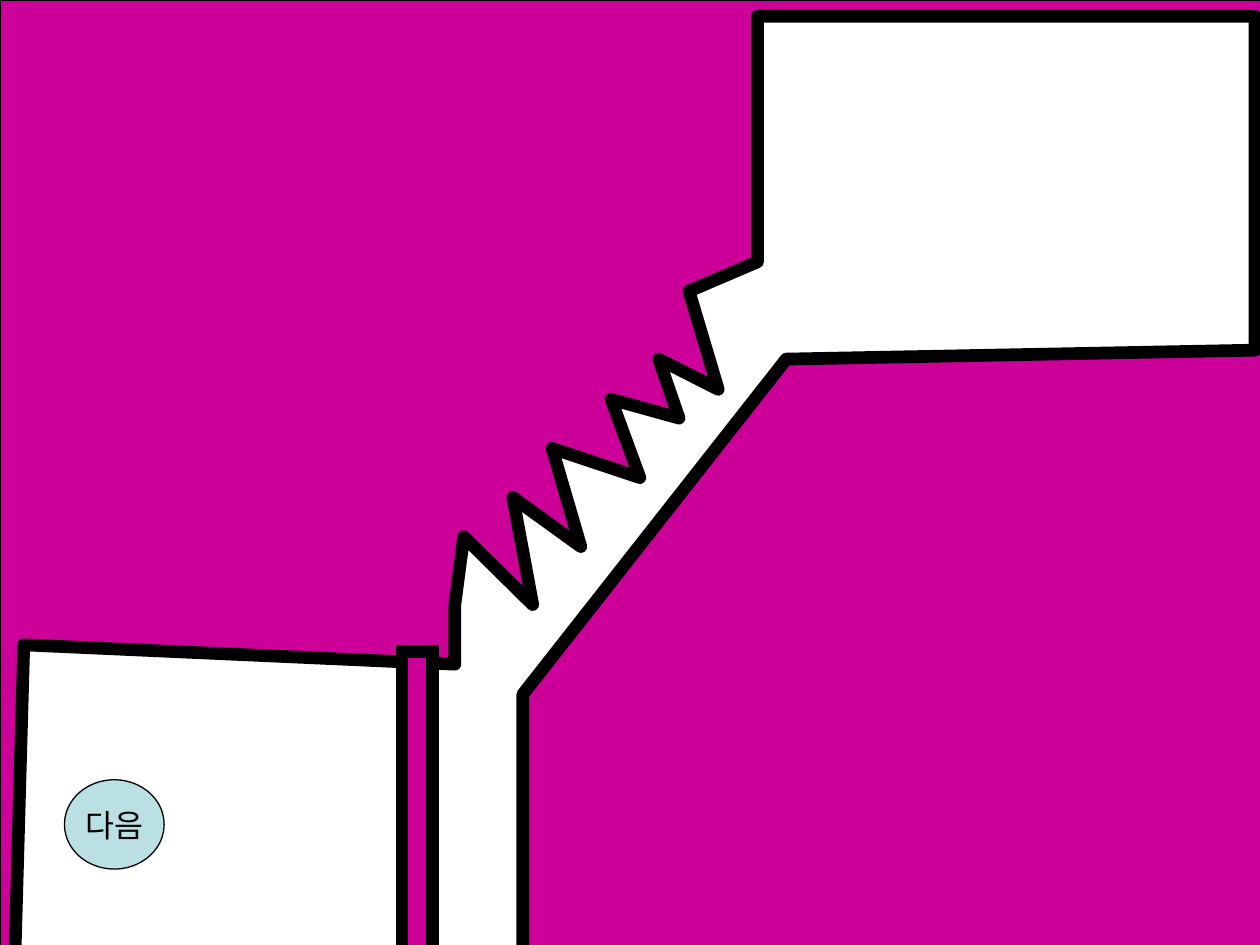
import dataclasses
import typing

import lxml.etree
import pptx
import pptx.dml.color
import pptx.enum.shapes
import pptx.enum.text
import pptx.oxml.ns
import pptx.util

Cm = pptx.util.Cm
Pt = pptx.util.Pt
RGB = pptx.dml.color.RGBColor
Kind = pptx.enum.shapes.MSO_SHAPE


@dataclasses.dataclass(frozen=True)
class Theme:
    wall: RGB = RGB(0xCC, 0x00, 0x99)
    path_fill: RGB = RGB(0xFF, 0xFF, 0xFF)
    button: RGB = RGB(0xBB, 0xE0, 0xE3)
    ink: RGB = RGB(0x00, 0x00, 0x00)
    thin: float = 0.75
    thick: float = 7.25
    text_size: int = 18
    font: str = "Noto Sans CJK KR"


@dataclasses.dataclass(frozen=True)
class Block:
    kind: Kind
    left: float
    top: float
    width: float
    height: float
    fill: RGB
    line: float
    rotation: float = 0
    label: str = ""


THEME = Theme()

WALL = Block(Kind.RECTANGLE, 0, 0, 31.09, 22.94, THEME.wall, THEME.thin)
GATE = Block(Kind.RECTANGLE, 5.21, 16.03, 6.4, 0.61, THEME.wall, THEME.thick, rotation=270)
NEXT_BUTTON = Block(Kind.OVAL, 1.3, 15.72, 2.01, 1.8, THEME.button, THEME.thin, label="다음")

# Corridor corners in centimetres
GOAL_ROOM = [(15.27, 5.28), (15.27, 0.33), (25.3, 0.33), (25.3, 7.06), (15.85, 7.24)]
START_ROOM = [(10.54, 14), (10.54, 19.33), (0.3, 19.33), (0.48, 13), (9.17, 13.39), (9.17, 12.19)]
SPIKES = [
    (9.35, 10.82), (10.74, 12.19), (10.34, 10.03), (11.71, 11.02), (11.13, 9.04), (12.9, 9.63),
    (12.32, 8.05), (13.69, 8.43), (13.28, 7.24), (14.48, 7.85), (13.89, 5.87),
]


def paint(shape: typing.Any, fill: RGB, line: float, join: str) -> None:
    shape.shadow.inherit = False
    shape.fill.solid()
    shape.fill.fore_color.rgb = fill
    shape.line.color.rgb = THEME.ink
    shape.line.width = Pt(line)
    outline = shape.line._get_or_add_ln()
    corner = lxml.etree.SubElement(outline, pptx.oxml.ns.qn(f"a:{join}"))
    if join == "miter":
        corner.set("lim", "800000")


def write_label(shape: typing.Any, text: str) -> None:
    frame = shape.text_frame
    frame.word_wrap = False
    frame.vertical_anchor = pptx.enum.text.MSO_ANCHOR.MIDDLE
    para = frame.paragraphs[0]
    para.alignment = pptx.enum.text.PP_ALIGN.CENTER
    span = para.add_run()
    span.text = text
    span.font.size = Pt(THEME.text_size)
    span.font.name = THEME.font
    span.font.color.rgb = THEME.ink
    # Hangul takes its typeface from the East Asian slot
    east_asian = lxml.etree.SubElement(span._r.get_or_add_rPr(), pptx.oxml.ns.qn("a:ea"))
    east_asian.set("typeface", THEME.font)


def draw_block(page: typing.Any, block: Block) -> None:
    shape = page.shapes.add_shape(
        block.kind, Cm(block.left), Cm(block.top), Cm(block.width), Cm(block.height)
    )
    shape.rotation = block.rotation
    paint(shape, block.fill, block.line, "miter")
    if block.label:
        write_label(shape, block.label)


def draw_corridor(page: typing.Any) -> None:
    start, *rest = [(Cm(x), Cm(y)) for x, y in GOAL_ROOM + START_ROOM + SPIKES]
    builder = page.shapes.build_freeform(*start)
    builder.add_line_segments(rest, close=True)
    paint(builder.convert_to_shape(), THEME.path_fill, THEME.thick, "round")


def main() -> None:
    deck = pptx.Presentation()
    deck.slide_width, deck.slide_height = Cm(25.4), Cm(19.05)
    page = deck.slides.add_slide(deck.slide_layouts[6])

    # Back to front: wall, corridor, gate, button
    draw_block(page, WALL)
    draw_corridor(page)
    draw_block(page, GATE)
    draw_block(page, NEXT_BUTTON)

    deck.save("out.pptx")


if __name__ == "__main__":
    main()
